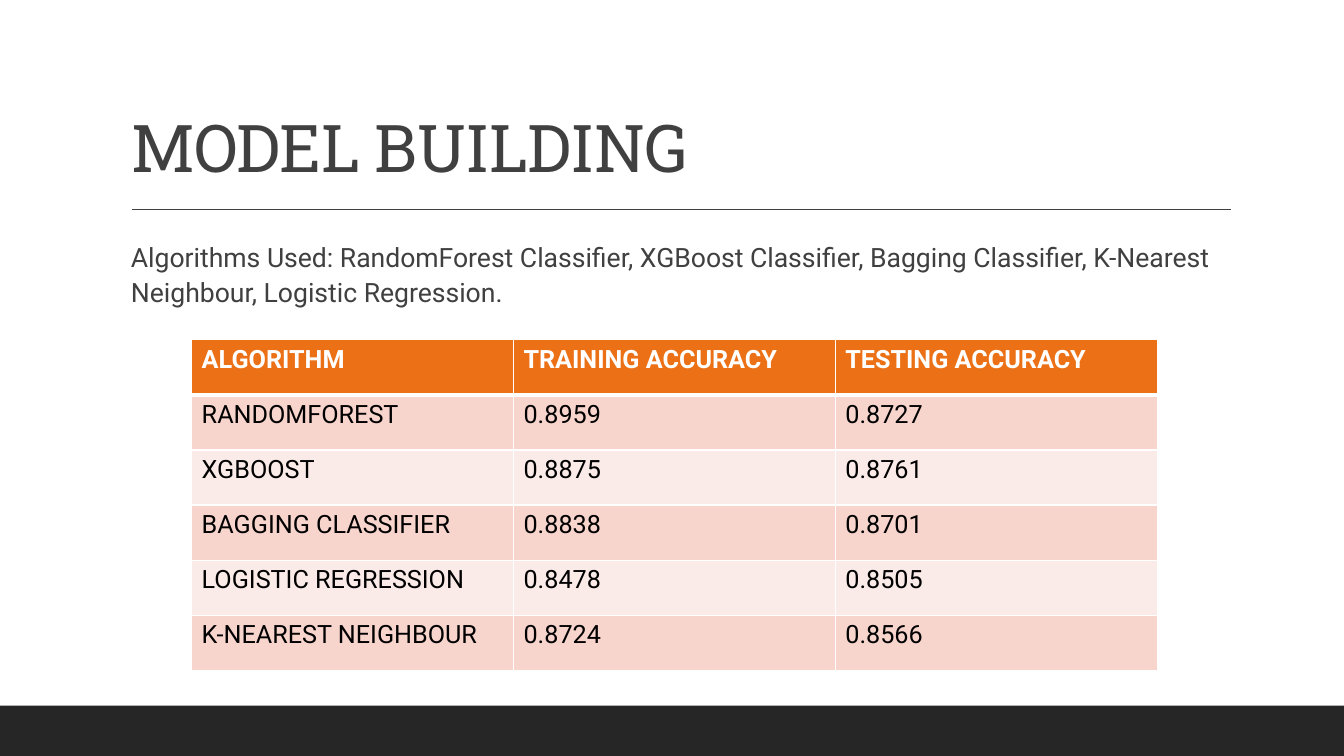
from dataclasses import dataclass

from lxml.etree import SubElement
from pptx import Presentation
from pptx.dml.color import RGBColor
from pptx.enum.shapes import MSO_CONNECTOR, MSO_SHAPE
from pptx.enum.text import MSO_ANCHOR, MSO_AUTO_SIZE, PP_ALIGN
from pptx.oxml.ns import qn
from pptx.util import Cm, Pt


@dataclass(frozen=True)
class Theme:
    heading_font: str = "Roboto Slab"
    text_font: str = "Roboto"
    title_size: float = 47
    body_size: float = 19
    table_size: float = 18
    text: str = "404040"
    footer: str = "262626"
    accent: str = "EC7016"
    white: str = "FFFFFF"
    black: str = "000000"
    bands: tuple = ("F8D5CC", "FBEBE8")


THEME = Theme()

ACCURACY_ROWS = [
    ("ALGORITHM", "TRAINING ACCURACY", "TESTING ACCURACY"),
    ("RANDOMFOREST", "0.8959", "0.8727"),
    ("XGBOOST", "0.8875", "0.8761"),
    ("BAGGING CLASSIFIER", "0.8838", "0.8701"),
    ("LOGISTIC REGRESSION", "0.8478", "0.8505"),
    ("K-NEAREST NEIGHBOUR", "0.8724", "0.8566"),
]


def set_attributes(target, values):
    for name, value in values.items():
        setattr(target, name, value)


def write_run(paragraph, text, font, size, color, bold=False):
    run = paragraph.add_run()
    run.text = text
    set_attributes(run.font, {"name": font, "size": Pt(size), "bold": bold})
    run.font.color.rgb = RGBColor.from_string(color)
    return run


def fill_placeholder(placeholder, box, frame_format, paragraph_format):
    """Move a placeholder, format it and return its first paragraph."""
    names = ("left", "top", "width", "height")
    set_attributes(placeholder, dict(zip(names, map(Cm, box))))
    frame = placeholder.text_frame
    set_attributes(frame, {"word_wrap": True, "auto_size": MSO_AUTO_SIZE.NONE, **frame_format})
    paragraph = frame.paragraphs[0]
    set_attributes(paragraph, {"alignment": PP_ALIGN.LEFT, **paragraph_format})
    return paragraph


def add_title(slide, text):
    paragraph = fill_placeholder(
        slide.shapes.title, (3.05, 0.79, 27.94, 4.04),
        {"vertical_anchor": MSO_ANCHOR.BOTTOM}, {"line_spacing": 0.9})
    run = write_run(paragraph, text, THEME.heading_font, THEME.title_size, THEME.text)
    run.font._element.set("spc", "-50")


def add_body(slide, text):
    paragraph = fill_placeholder(
        slide.placeholders[1], (3.05, 5.87, 27.94, 10.44),
        {"margin_left": 0, "margin_right": 0, "vertical_anchor": MSO_ANCHOR.TOP},
        {"line_spacing": 1.1, "space_before": Pt(12), "space_after": Pt(2)})
    set_blank_bullet(paragraph, Cm(0.25))
    write_run(paragraph, text, THEME.text_font, THEME.body_size, THEME.text)


def set_blank_bullet(paragraph, indent):
    properties = paragraph._p.get_or_add_pPr()
    properties.set("marL", str(indent))
    properties.set("indent", str(-indent))
    color = SubElement(properties, qn("a:buClr"))
    SubElement(color, qn("a:srgbClr"), val=THEME.accent)
    SubElement(properties, qn("a:buChar"), char=" ")


def add_footer_bar(slide, width):
    bar = slide.shapes.add_shape(MSO_SHAPE.RECTANGLE, 0, Cm(17.78), width, Cm(1.27))
    bar.shadow.inherit = False
    bar.fill.solid()
    bar.fill.fore_color.rgb = RGBColor.from_string(THEME.footer)
    bar.line.fill.background()


def add_title_rule(slide):
    rule = slide.shapes.add_connector(
        MSO_CONNECTOR.STRAIGHT, Cm(3.33), Cm(5.28), Cm(31.01), Cm(5.28))
    rule.line.color.rgb = RGBColor.from_string(THEME.text)
    rule.line.width = Pt(1)
    SubElement(rule._element.spPr, qn("a:effectLst"))


def set_borders(cell, widths):
    """Draw white borders; widths maps the sides L, R, T and B to points."""
    properties = cell._tc.get_or_add_tcPr()
    for side, width in widths.items():
        border = SubElement(properties, qn(f"a:ln{side}"), w=str(Pt(width)))
        fill = SubElement(border, qn("a:solidFill"))
        SubElement(fill, qn("a:srgbClr"), val=THEME.white)


def format_cell(cell, text, row_index):
    header = row_index == 0
    set_borders(cell, {"L": 1, "R": 1,
                       "T": 3 if row_index == 1 else 1,
                       "B": 3 if header else 1})
    fill_color = THEME.accent if header else THEME.bands[(row_index - 1) % 2]
    cell.fill.solid()
    cell.fill.fore_color.rgb = RGBColor.from_string(fill_color)
    write_run(cell.text_frame.paragraphs[0], text, THEME.text_font, THEME.table_size,
              THEME.white if header else THEME.black, bold=header)


def add_accuracy_table(slide, rows):
    column_width, row_height = Cm(8.11), Cm(1.39)
    column_count = len(rows[0])
    table = slide.shapes.add_table(
        len(rows), column_count, Cm(4.83), Cm(8.56),
        column_width * column_count, row_height * len(rows)).table
    for column in table.columns:
        column.width = column_width
    for row_index, values in enumerate(rows):
        table.rows[row_index].height = row_height
        for column_index, text in enumerate(values):
            format_cell(table.cell(row_index, column_index), text, row_index)


def main():
    presentation = Presentation()
    set_attributes(presentation, {"slide_width": Cm(33.87), "slide_height": Cm(19.05)})
    slide = presentation.slides.add_slide(presentation.slide_layouts[1])
    add_footer_bar(slide, presentation.slide_width)
    add_title_rule(slide)
    add_title(slide, "MODEL BUILDING")
    add_body(slide, "Algorithms Used: RandomForest Classifier, XGBoost Classifier, "
                    "Bagging Classifier, K-Nearest Neighbour, Logistic Regression.")
    add_accuracy_table(slide, ACCURACY_ROWS)
    presentation.save("out.pptx")


if __name__ == "__main__":
    main()
